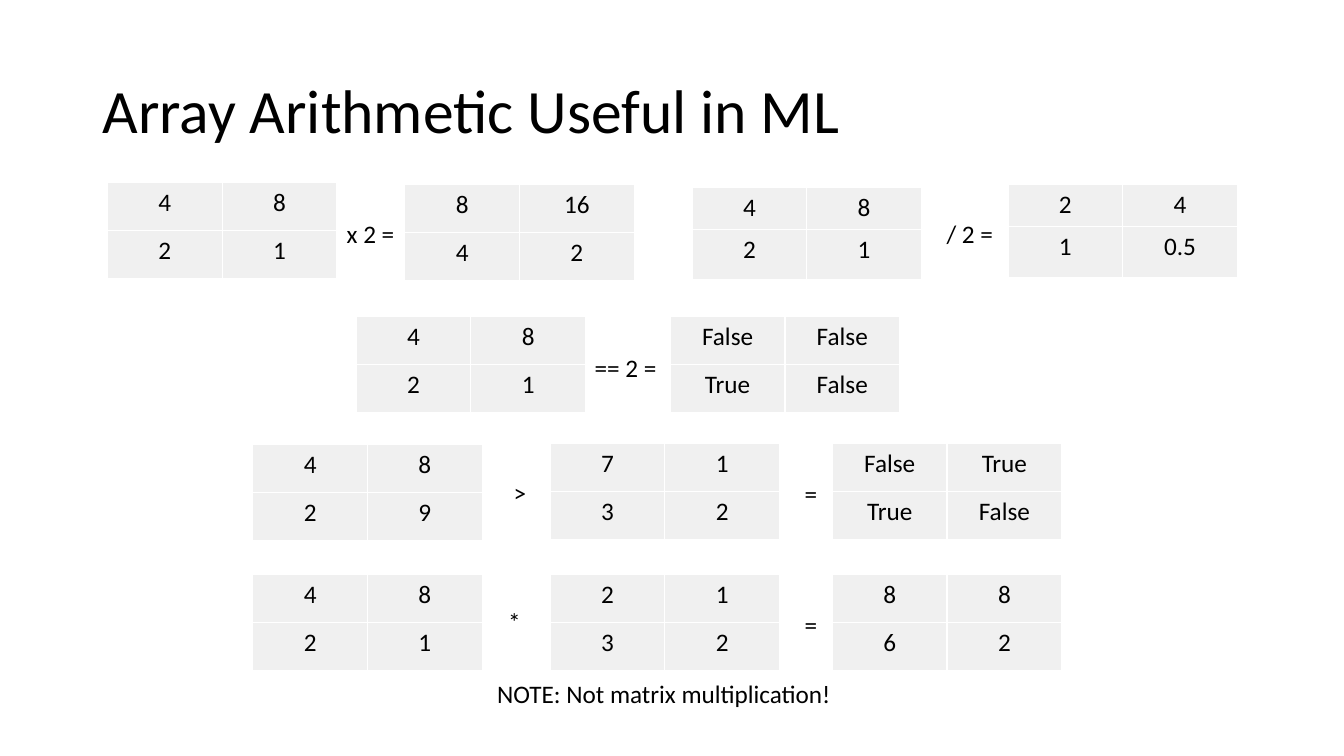
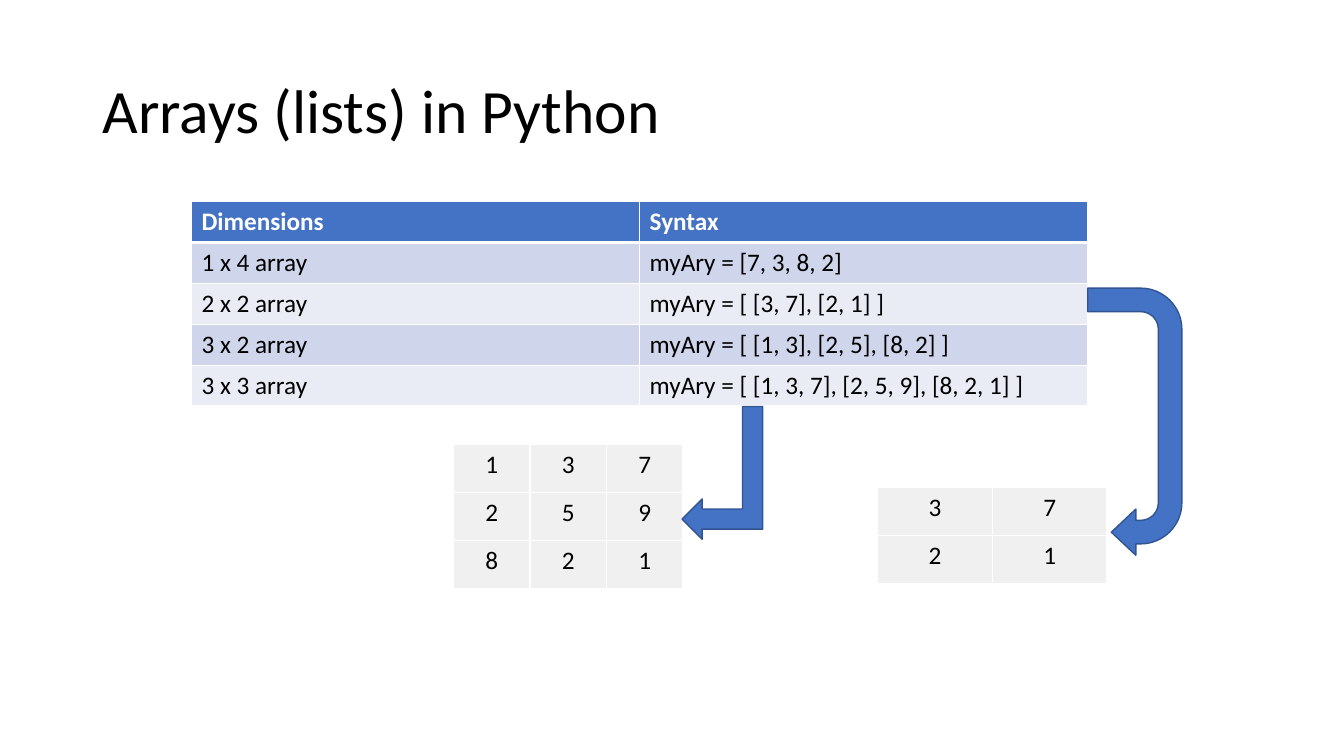
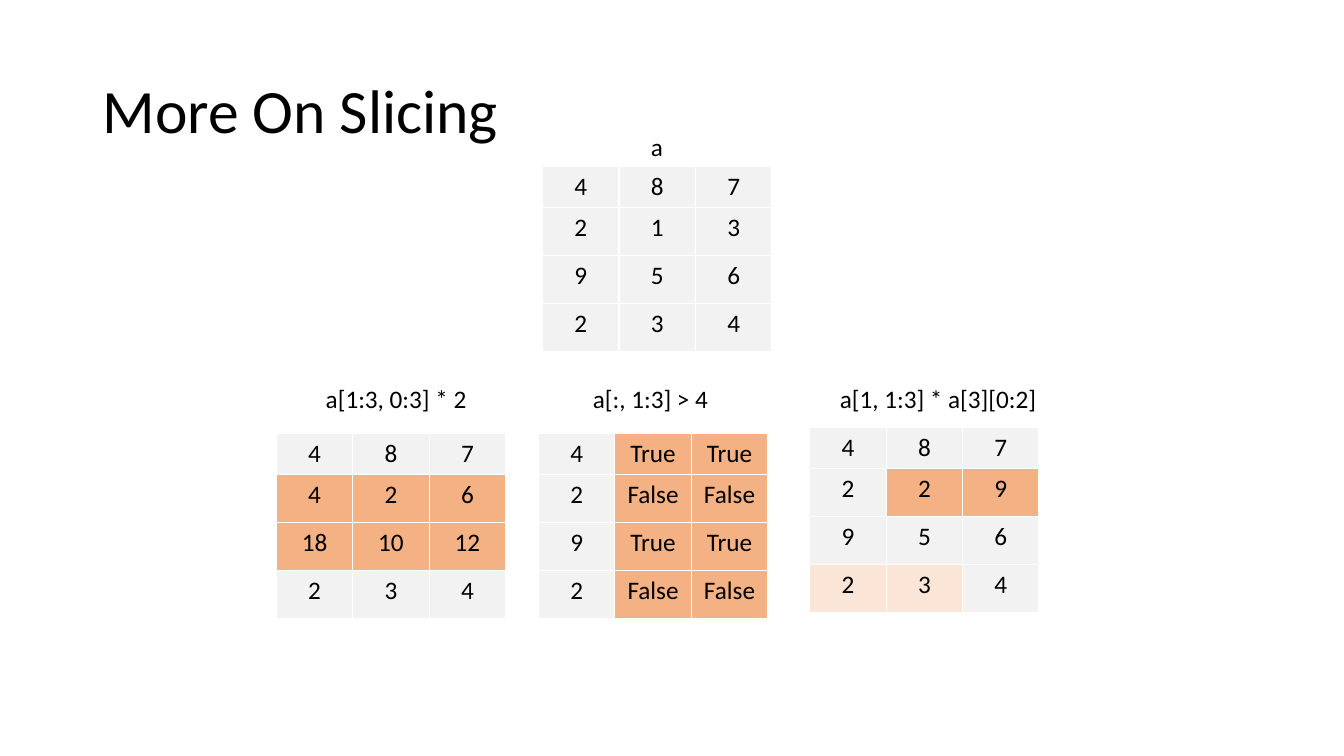
from lxml import etree
from pptx import Presentation
from pptx import util as u
from pptx.dml.color import RGBColor
from pptx.enum import shapes, text
from pptx.oxml import ns

# The slide is a grid of 160 columns by 90 rows of square units.
UNIT = u.Inches(1 / 12)
COLS, ROWS = 160, 90
MATRIX_W, ROW_H, LABEL_H = 27.3, 5.72, 4.8
FIRST_ROW_H = 4.84

FONT = "Calibri"
BLACK = RGBColor(0x00, 0x00, 0x00)
WHITE = RGBColor(0xFF, 0xFF, 0xFF)
GRAY = RGBColor(0xF0, 0xF0, 0xF0)
PALE_GRAY = RGBColor(0xF2, 0xF2, 0xF2)
ORANGE = RGBColor(0xF4, 0xB1, 0x83)
PEACH = RGBColor(0xFB, 0xE5, 0xD6)
BLUE = RGBColor(0x44, 0x72, 0xC4)
DARK_BLUE = RGBColor(0x32, 0x54, 0x91)
BAND_DARK = RGBColor(0xCF, 0xD5, 0xEA)
BAND_LIGHT = RGBColor(0xE9, 0xEB, 0xF5)

FILLS = {"-": PALE_GRAY, "o": ORANGE, "p": PEACH}


def grid(*units):
    """Turn grid units into slide lengths."""
    return [u.Emu(round(n * UNIT)) for n in units]


def style(p, size=18, color=BLACK, bold=False, align=text.PP_ALIGN.LEFT):
    """Format a whole paragraph."""
    p.font.name, p.font.size, p.font.bold = FONT, u.Pt(size), bold
    p.font.color.rgb = color
    p.alignment = align


def add_slide(prs, title):
    """Add a title-only slide with the shared title style."""
    s = prs.slides.add_slide(prs.slide_layouts[5])
    sp = s.shapes.title
    sp.left, sp.top, sp.width, sp.height = grid(11, 4.8, 138, 17.4)
    tf = sp.text_frame
    tf.text = title
    tf.vertical_anchor = text.MSO_ANCHOR.MIDDLE
    tf.paragraphs[0].line_spacing = 0.9
    style(tf.paragraphs[0], size=44)
    return s


def add_label(s, left, top, width, label):
    """Add one line of text that keeps its own width."""
    sp = s.shapes.add_textbox(*grid(left, top, width, LABEL_H))
    tf = sp.text_frame
    tf.text = label
    tf.word_wrap = False
    tf.auto_size = text.MSO_AUTO_SIZE.SHAPE_TO_FIT_TEXT
    style(tf.paragraphs[0])


def add_borders(cell, bottom=1, top=1):
    """Draw white borders around a cell, widths in points."""
    tc_pr = cell._tc.get_or_add_tcPr()
    widths = {"lnL": 1, "lnR": 1, "lnT": top, "lnB": bottom}
    for i, (tag, width) in enumerate(widths.items()):
        ln = etree.Element(ns.qn("a:" + tag), w=str(u.Pt(width)))
        fill = etree.SubElement(ln, ns.qn("a:solidFill"))
        etree.SubElement(fill, ns.qn("a:srgbClr"), val=str(WHITE))
        tc_pr.insert(i, ln)


def add_grid_table(s, left, top, width, heights, rows, fill_of, header=False,
                   align=text.PP_ALIGN.CENTER):
    """Add a table of equal columns; fill_of(row, column) gives cell fills."""
    n_cols = len(rows[0])
    frame = s.shapes.add_table(len(rows), n_cols,
                               *grid(left, top, width, sum(heights)))
    table = frame.table
    table.first_row, table.horz_banding = header, False
    for column in table.columns:
        column.width, = grid(width / n_cols)
    for i, values in enumerate(rows):
        table.rows[i].height, = grid(heights[i])
        head = header and i == 0
        for j, value in enumerate(values):
            cell = table.cell(i, j)
            cell.text = value
            cell.fill.solid()
            cell.fill.fore_color.rgb = fill_of(i, j)
            style(cell.text_frame.paragraphs[0], bold=head, align=align,
                  color=WHITE if head else BLACK)
            add_borders(cell, bottom=3 if head else 1,
                        top=3 if header and i == 1 else 1)


def add_matrix(s, left, top, values, heights=None):
    """Add a gray matrix; rows are split by ';' and cells by spaces."""
    rows = [line.split() for line in values.split(";")]
    add_grid_table(s, left, top, MATRIX_W, heights or [ROW_H] * len(rows),
                   rows, lambda i, j: GRAY)


def add_slice(s, left, top, values, marks="---;---;---;---"):
    """Add a 4 x 3 matrix whose marks choose each cell's fill."""
    rows = [line.split() for line in values.split(";")]
    marks = marks.split(";")
    add_grid_table(s, left, top, MATRIX_W, [FIRST_ROW_H] + [ROW_H] * 3, rows,
                   lambda i, j: FILLS[marks[i][j]])


def add_arrow(s, kind, box, rotation, adjustments=(), flip=False):
    """Add a rotated blue block arrow."""
    sp = s.shapes.add_shape(kind, *grid(*box))
    sp.rotation = rotation
    sp.shadow.inherit = False
    for i, value in enumerate(adjustments):
        sp.adjustments[i] = value
    if flip:
        sp._element.spPr.find(ns.qn("a:xfrm")).set("flipH", "1")
    sp.fill.solid()
    sp.fill.fore_color.rgb = BLUE
    sp.line.color.rgb = DARK_BLUE
    sp.line.width = u.Pt(1)


def arithmetic_slide(prs):
    """Element-wise operations on small matrices."""
    s = add_slide(prs, "Array Arithmetic Useful in ML")
    short_first = [5, 6]
    for matrix in [
        (12.8, 21.7, "4 8;2 1"), (48.2, 22, "8 16;4 2"),
        (82.4, 22.3, "4 8;2 1", short_first),
        (120, 22, "2 4;1 0.5", short_first),
        (42.4, 37.7, "4 8;2 1"), (79.8, 37.7, "False False;True False"),
        (30.1, 52.9, "4 8;2 9"), (65.5, 52.8, "7 1;3 2"),
        (99.1, 52.8, "False True;True False"),
        (30.1, 68.4, "4 8;2 1"), (65.5, 68.4, "2 1;3 2"),
        (99.1, 68.4, "8 8;6 2"),
    ]:
        add_matrix(s, *matrix)
    for label in [
        (40.1, 25.4, 8.9, "x 2 = "), (111.5, 25.4, 8.8, "/ 2 = "),
        (69.6, 41.4, 10.6, "== 2 = "),
        (59.3, 56.2, 4.7, " >"), (94.6, 56.4, 4.7, "= "),
        (59.3, 71.6, 4.7, "* "), (94.6, 71.9, 4.7, "= "),
        (58, 80.2, 42.6, "NOTE: Not matrix multiplication!"),
    ]:
        add_label(s, *label)


def lists_slide(prs):
    """Syntax table with arrows to the matrices it describes."""
    s = add_slide(prs, "Arrays (lists) in Python")
    rows = [
        ("Dimensions", "Syntax"),
        ("1 x 4 array", "myAry = [7, 3, 8, 2]"),
        ("2 x 2 array", "myAry = [ [3, 7], [2, 1] ]"),
        ("3 x 2 array", "myAry = [ [1, 3], [2, 5], [8, 2] ]"),
        ("3 x 3 array", "myAry = [ [1, 3, 7], [2, 5, 9], [8, 2, 1] ]"),
    ]
    bands = [BLUE] + [BAND_DARK, BAND_LIGHT] * 2
    add_grid_table(s, 22.8, 24, 106.7, [4.87] * len(rows), rows,
                   lambda i, j: bands[i], header=True,
                   align=text.PP_ALIGN.LEFT)
    add_matrix(s, 104.5, 58, "3 7;2 1")
    add_arrow(s, shapes.MSO_SHAPE.U_TURN_ARROW, (119.2, 44.6, 31.8, 11.2), 90,
              (0.25, 0.245, 0.26, 0.438, 0.75))
    add_matrix(s, 54, 52.9, "1 3 7;2 5 9;8 2 1")
    add_arrow(s, shapes.MSO_SHAPE.BENT_UP_ARROW, (78.1, 51.5, 15.8, 9.6), 270,
              flip=True)


def slicing_slide(prs):
    """Matrix a and three slices of it."""
    s = add_slide(prs, "More On Slicing")
    for matrix in [
        (64.6, 19.8, "4 8 7;2 1 3;9 5 6;2 3 4"),
        (32.9, 51.6, "4 8 7;4 2 6;18 10 12;2 3 4", "---;ooo;ooo;---"),
        (64.1, 51.6,
         "4 True True;2 False False;9 True True;2 False False",
         "-oo;-oo;-oo;-oo"),
        (96.4, 50.9, "4 8 7;2 2 9;9 5 6;2 3 4", "---;-oo;---;pp-"),
    ]:
        add_slice(s, *matrix)
    for label in [
        (76.3, 15, 3.8, "a"),
        (37.6, 45.1, 19.4, "a[1:3, 0:3] * 2"),
        (69.4, 45.1, 16.7, "a[:, 1:3] > 4"),
        (98.8, 45, 25.9, "a[1, 1:3] * a[3][0:2]"),
    ]:
        add_label(s, *label)


def main():
    """Build and save the presentation."""
    prs = Presentation()
    prs.slide_width, prs.slide_height = grid(COLS, ROWS)
    arithmetic_slide(prs)
    lists_slide(prs)
    slicing_slide(prs)
    prs.save("out.pptx")


main()
